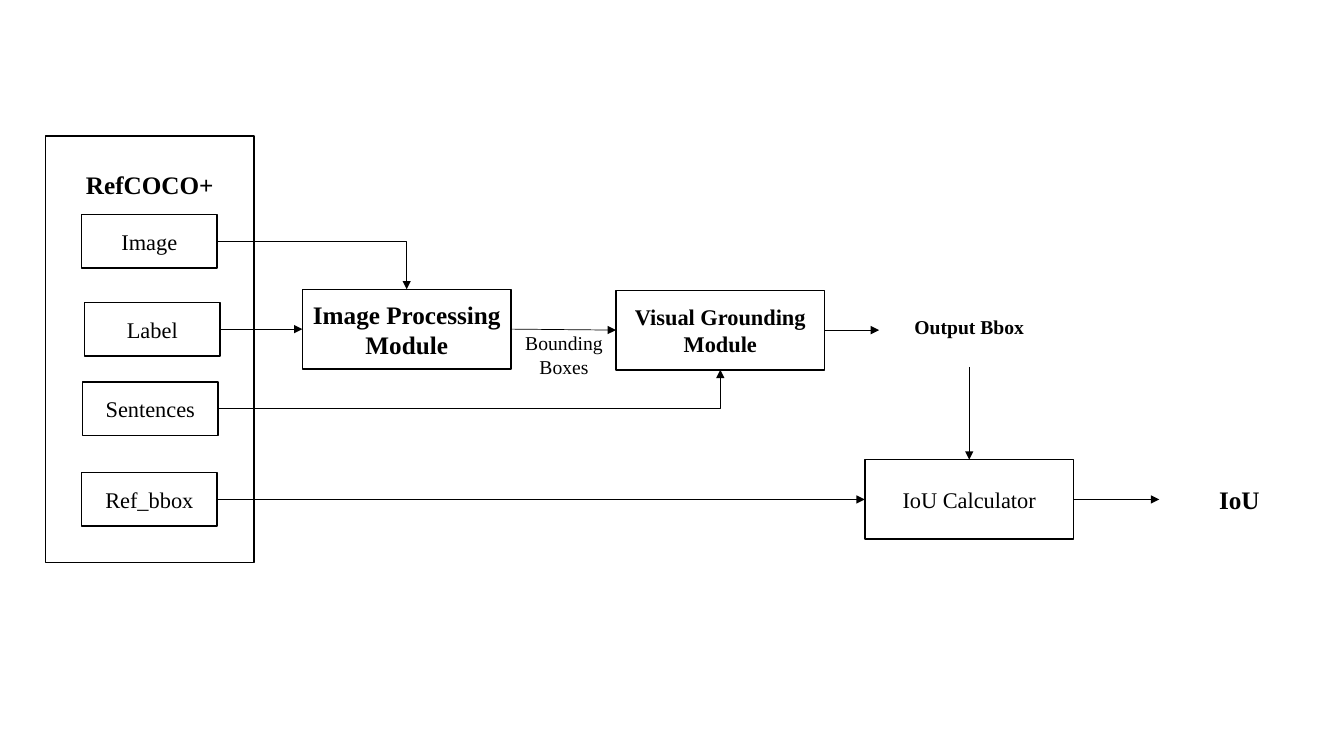
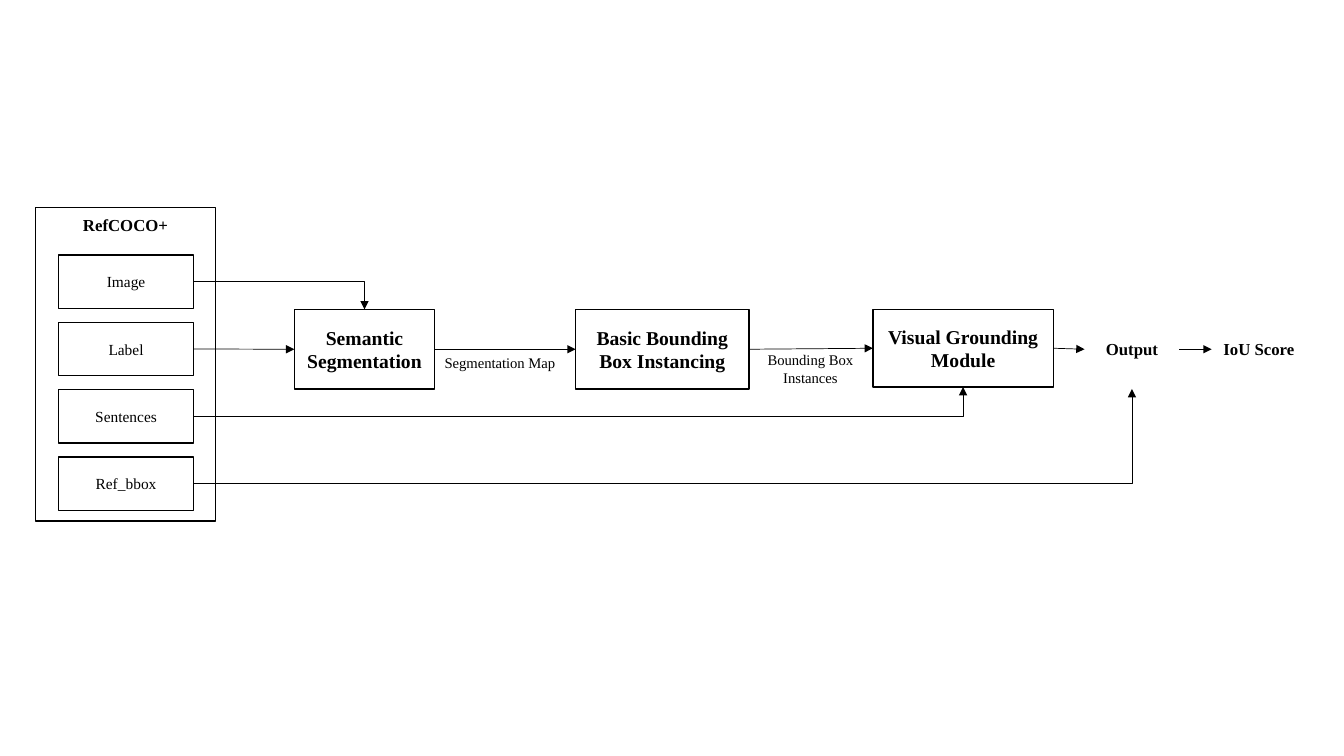
from dataclasses import dataclass

from lxml import etree
from pptx import Presentation
from pptx.dml.color import RGBColor
from pptx.enum.shapes import MSO_CONNECTOR, MSO_SHAPE
from pptx.enum.text import MSO_ANCHOR, PP_ALIGN
from pptx.oxml.ns import qn
from pptx.util import Inches, Pt

RECTANGLE = MSO_SHAPE.RECTANGLE
STRAIGHT, ELBOW = MSO_CONNECTOR.STRAIGHT, MSO_CONNECTOR.ELBOW
CENTER, MIDDLE, TOP_ANCHOR = PP_ALIGN.CENTER, MSO_ANCHOR.MIDDLE, MSO_ANCHOR.TOP
TOP, BOTTOM, LEFT, RIGHT = 0, 2, 1, 3

SLIDE_W, SLIDE_H = Inches(13.333), Inches(7.5)
BLANK_LAYOUT = 6


@dataclass(frozen=True)
class Theme:
    font: str = "Times New Roman"
    ink: RGBColor = RGBColor(0, 0, 0)
    paper: RGBColor = RGBColor(255, 255, 255)
    box_line: float = 1
    arrow_line: float = 0.5
    side_inset: float = 0.08
    # Type sizes of the overview slide
    heading: float = 18
    body: float = 16
    label: float = 14
    # Type sizes of the detailed slide
    small_module: float = 14
    small_heading: float = 12
    small_body: float = 11
    small_label: float = 10.5


THEME = Theme()


@dataclass(frozen=True)
class Node:
    """A text or box; lengths are hundredths of the slide's width and height."""
    text: str
    x: float
    y: float
    w: float
    h: float
    size: float
    bold: bool = False
    boxed: bool = True
    title_inset: float | None = None  # set for a frame whose title sits at the top


@dataclass(frozen=True)
class Link:
    """An arrow between nodes, or of a given reach when it has no target."""
    source: str
    target: str = ""
    leave: int = RIGHT
    arrive: int = LEFT
    reach: float = 0


FIELD_W, FIELD_H = 10.07, 7.07
MODULE_W, MODULE_H = 15.53, 10.53
RESULT_W = 7.05
FIELD_NAMES = ("Image", "Label", "Sentences", "Ref_bbox")


def field_nodes(corners: list[tuple[float, float]], size: float) -> list[Node]:
    return [Node(name, x, y, FIELD_W, FIELD_H, size)
            for name, (x, y) in zip(FIELD_NAMES, corners)]


def module(text: str, x: float, y: float, size: float, w: float = MODULE_W,
           h: float = MODULE_H, bold: bool = True) -> Node:
    return Node(text, x, y, w, h, size, bold)


def caption(text: str, x: float, y: float, w: float, h: float, size: float,
            bold: bool = False) -> Node:
    return Node(text, x, y, w, h, size, bold, boxed=False)


OVERVIEW_NODES = [
    Node("RefCOCO+", 3.38, 18, MODULE_W, 56.4, THEME.heading, True, title_inset=4.4),
    *field_nodes([(6.08, 28.4), (6.3, 40), (6.15, 50.53), (6.08, 62.53)], THEME.body),
    module("Image Processing Module", 22.5, 38.27, THEME.heading),
    module("Visual Grounding Module", 45.83, 38.4, THEME.body),
    module("IoU Calculator", 64.35, 60.8, THEME.body, bold=False),
    caption("Bounding Boxes", 37.8, 43.33, 8.33, 7.2, THEME.label),
    caption("Output Bbox", 64.35, 38, MODULE_W, MODULE_H, THEME.label, True),
    caption("IoU", 84.45, 60.8, MODULE_W, MODULE_H, THEME.heading, True),
]
OVERVIEW_LINKS = [
    Link("Image", "Image Processing Module", arrive=TOP),
    Link("Label", "Image Processing Module"),
    Link("Sentences", "Visual Grounding Module", arrive=BOTTOM),
    Link("Ref_bbox", "IoU Calculator"),
    Link("Image Processing Module", "Visual Grounding Module"),
    Link("Visual Grounding Module", reach=4.05),
    Link("Output Bbox", "IoU Calculator", BOTTOM, TOP),
    Link("IoU Calculator", reach=6.38),
]

FIELD_X, FIELD_TOP, FIELD_PITCH = 4.35, 33.73, 8.9
FLOW_TOP = 40.93
DETAIL_NODES = [
    Node("RefCOCO+", 2.63, 27.47, 13.43, 41.47, THEME.small_heading, True, title_inset=1),
    *field_nodes([(FIELD_X, FIELD_TOP + row * FIELD_PITCH)
                  for row in range(len(FIELD_NAMES))], THEME.small_body),
    module("Semantic Segmentation", 21.9, FLOW_TOP, THEME.small_module, 10.45),
    module("Basic Bounding Box Instancing", 42.83, FLOW_TOP, THEME.small_module, 12.9),
    module("Visual Grounding Module", 64.95, FLOW_TOP, THEME.small_module, 13.43, 10.27),
    caption("Segmentation Map", 32.1, 44.4, 10.2, 7.2, THEME.small_label),
    caption("Bounding Box Instances", 55.2, 45.2, 10.2, 7.2, THEME.small_label),
    caption("Output", 80.7, FLOW_TOP, RESULT_W, MODULE_H, THEME.small_heading, True),
    caption("IoU Score", 90.15, FLOW_TOP, RESULT_W, MODULE_H, THEME.small_heading, True),
]
DETAIL_LINKS = [
    Link("Image", "Semantic Segmentation", arrive=TOP),
    Link("Label", "Semantic Segmentation"),
    Link("Sentences", "Visual Grounding Module", arrive=BOTTOM),
    Link("Ref_bbox", "Output", arrive=BOTTOM),
    Link("Semantic Segmentation", "Basic Bounding Box Instancing"),
    Link("Basic Bounding Box Instancing", "Visual Grounding Module"),
    Link("Visual Grounding Module", "Output"),
    Link("Output", "IoU Score"),
]


def across(share: float) -> int:
    return round(SLIDE_W * share / 100)


def down(share: float) -> int:
    return round(SLIDE_H * share / 100)


def draw_node(slide, node: Node):
    bounds = across(node.x), down(node.y), across(node.w), down(node.h)
    if node.boxed:
        shape = slide.shapes.add_shape(RECTANGLE, *bounds)
        shape.shadow.inherit = False
        shape.fill.solid()
        shape.fill.fore_color.rgb = THEME.paper
        shape.line.color.rgb = THEME.ink
        shape.line.width = Pt(THEME.box_line)
    else:
        shape = slide.shapes.add_textbox(*bounds)
    frame = shape.text_frame
    frame.word_wrap = True
    frame.margin_left = frame.margin_right = Inches(THEME.side_inset)
    frame.vertical_anchor = MIDDLE
    if node.title_inset is not None:
        frame.vertical_anchor = TOP_ANCHOR
        frame.margin_top = down(node.title_inset)
    paragraph = frame.paragraphs[0]
    paragraph.text = node.text
    paragraph.alignment = CENTER
    font = paragraph.font
    font.name, font.size, font.bold = THEME.font, Pt(node.size), node.bold
    font.color.rgb = THEME.ink
    return shape


def side_middle(shape, side: int) -> tuple[int, int]:
    if side in (LEFT, RIGHT):
        return shape.left + (side == RIGHT) * shape.width, shape.top + shape.height // 2
    return shape.left + shape.width // 2, shape.top + (side == BOTTOM) * shape.height


def draw_link(slide, link: Link, shapes: dict) -> None:
    source, target = shapes[link.source], shapes.get(link.target)
    start = side_middle(source, link.leave)
    if target is None:
        end = start[0] + across(link.reach), start[1]
    else:
        end = side_middle(target, link.arrive)
    turns = link.leave == RIGHT and link.arrive != LEFT
    arrow = slide.shapes.add_connector(ELBOW if turns else STRAIGHT, *start, *end)
    arrow.line.color.rgb = THEME.ink
    arrow.line.width = Pt(THEME.arrow_line)
    properties = arrow._element.spPr
    etree.SubElement(properties.find(qn("a:ln")), qn("a:tailEnd"), type="triangle")
    etree.SubElement(properties, qn("a:effectLst"))
    if turns:
        # A single right-angle turn
        properties.find(qn("a:prstGeom")).set("prst", "bentConnector2")
        return
    arrow.begin_connect(source, link.leave)
    if target is not None:
        arrow.end_connect(target, link.arrive)


def add_diagram(deck, nodes: list[Node], links: list[Link]) -> None:
    slide = deck.slides.add_slide(deck.slide_layouts[BLANK_LAYOUT])
    shapes = {node.text: draw_node(slide, node) for node in nodes}
    for link in links:
        draw_link(slide, link, shapes)


def main() -> None:
    deck = Presentation()
    deck.slide_width, deck.slide_height = SLIDE_W, SLIDE_H
    add_diagram(deck, OVERVIEW_NODES, OVERVIEW_LINKS)
    add_diagram(deck, DETAIL_NODES, DETAIL_LINKS)
    deck.save("out.pptx")


if __name__ == "__main__":
    main()
